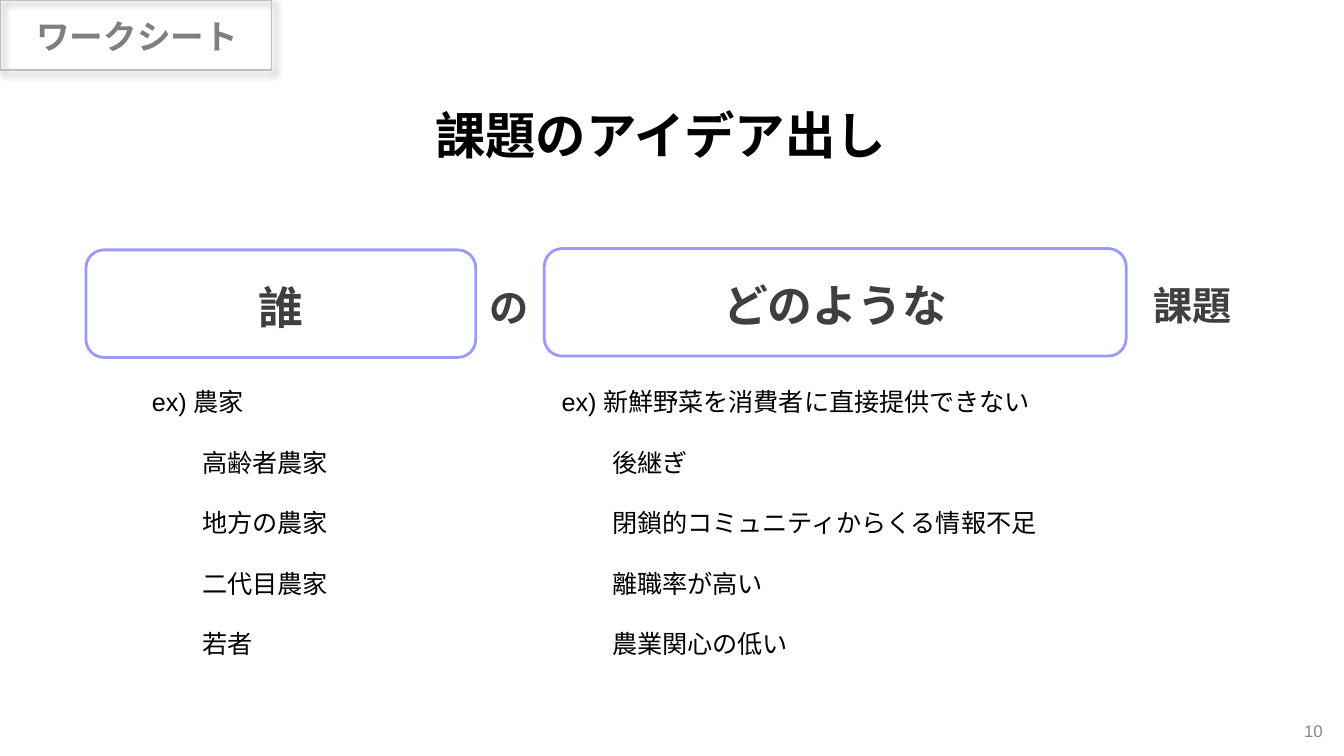
from lxml import etree
from pptx import Presentation
from pptx import util as u
from pptx.dml.color import RGBColor
from pptx.enum import shapes, text
from pptx.oxml import ns

COLORS = {
    "ink": "000000",
    "label": "3F3F3F",
    "tag": "7F7F7F",
    "number": "888888",
    "frame": "9999FF",
    "tag_line": "BFBFBF",
}
TIGHT = (0.07, 0.04, 0.07, 0)
LOOSE = (0.1, 0.05, 0.1, 0.05)
CENTER = text.PP_ALIGN.CENTER
LEFT = text.PP_ALIGN.LEFT
MIDDLE = text.MSO_ANCHOR.MIDDLE
GROW = text.MSO_AUTO_SIZE.SHAPE_TO_FIT_TEXT
FIXED = text.MSO_AUTO_SIZE.NONE

WHO = ["ex) 農家", "高齢者農家", "地方の農家", "二代目農家", "若者"]
WHAT = [
    "ex) 新鮮野菜を消費者に直接提供できない",
    "後継ぎ",
    "閉鎖的コミュニティからくる情報不足",
    "離職率が高い",
    "農業関心の低い",
]


def set_attrs(obj, values):
    for name, value in values.items():
        setattr(obj, name, value)


def inches(box):
    return [u.Inches(v) for v in box]


def set_frame(tf, insets, anchor=MIDDLE, fit=FIXED):
    left, top, right, bottom = inches(insets)
    set_attrs(tf, {
        "word_wrap": True, "auto_size": fit, "vertical_anchor": anchor,
        "margin_left": left, "margin_top": top,
        "margin_right": right, "margin_bottom": bottom,
    })


def write(p, words, size, color, bold=True, align=CENTER):
    p.alignment = align
    r = p.add_run()
    r.text = words
    set_attrs(r.font, {"name": "Arial", "size": u.Pt(size), "bold": bold})
    r.font.color.rgb = RGBColor.from_string(COLORS[color])


def add_outline(parent, kind, box, color, width):
    sp = parent.add_shape(kind, *inches(box))
    sp.shadow.inherit = False
    sp.fill.background()
    sp.line.color.rgb = RGBColor.from_string(COLORS[color])
    sp.line.width = u.Pt(width)
    return sp


def add_answer_box(s, box, words):
    sp = add_outline(s.shapes, shapes.MSO_SHAPE.ROUNDED_RECTANGLE, box, "frame", 1.5)
    set_frame(sp.text_frame, TIGHT)
    write(sp.text_frame.paragraphs[0], words, 24, "label")


def add_text(parent, box, words, size, color, insets=TIGHT, anchor=MIDDLE,
             fit=GROW, **style):
    tf = parent.add_textbox(*inches(box)).text_frame
    set_frame(tf, insets, anchor, fit)
    write(tf.paragraphs[0], words, size, color, **style)
    return tf


def add_examples(s, box, lines):
    style = {"size": 13.5, "color": "ink", "bold": False, "align": LEFT}
    tf = add_text(s.shapes, box, lines[0], **style)
    for line in lines[1:]:
        p = tf.add_paragraph()
        p.space_before = u.Pt(16.2)
        write(p, line, **style)
        p._p.get_or_add_pPr().set("marL", str(u.Pt(27)))


def add_shadow(sp):
    effects = sp._element.spPr.find(ns.qn("a:effectLst"))
    shadow = etree.SubElement(
        effects, ns.qn("a:outerShdw"), blurRad=str(u.Pt(4)), dist=str(u.Pt(3)),
        dir="2700000", algn="tl", rotWithShape="0")
    color = etree.SubElement(shadow, ns.qn("a:srgbClr"), val=COLORS["ink"])
    etree.SubElement(color, ns.qn("a:alpha"), val="40000")


def add_tag(s):
    group = s.shapes.add_group_shape().shapes
    add_shadow(add_outline(group, shapes.MSO_SHAPE.RECTANGLE,
                           (0, 0, 2.02, 0.52), "tag_line", 1))
    add_text(group, (0.07, 0.07, 1.9, 0.4), "ワークシート", 18, "tag",
             LOOSE, text.MSO_ANCHOR.TOP)


def set_title(s, box, words):
    title = s.shapes.title
    names = ("left", "top", "width", "height")
    set_attrs(title, dict(zip(names, inches(box))))
    set_frame(title.text_frame, (0, 0, 0, 0), text.MSO_ANCHOR.BOTTOM)
    p = title.text_frame.paragraphs[0]
    p.line_spacing = 0.9
    write(p, words, 27, "ink")


def main():
    prs = Presentation()
    width = u.Inches(10)
    set_attrs(prs, {"slide_width": width, "slide_height": width * 9 // 16})
    s = prs.slides.add_slide(prs.slide_layouts[5])
    set_title(s, (0.34, 0.71, 9.15, 0.52), "課題のアイデア出し")
    add_answer_box(s, (0.64, 1.86, 2.9, 0.8), "誰")
    add_answer_box(s, (4.05, 1.85, 4.33, 0.8), "どのような")
    add_text(s.shapes, (3.46, 2.07, 0.65, 0.39), "の", 21, "label")
    add_text(s.shapes, (8.38, 2.05, 0.99, 0.39), "課題", 21, "label")
    add_examples(s, (1.06, 2.83, 3.05, 2.08), WHO)
    add_examples(s, (4.11, 2.83, 4.33, 2.08), WHAT)
    add_tag(s)
    add_text(s.shapes, (7.69, 5.29, 2.25, 0.3), "10", 9, "number", LOOSE,
             fit=FIXED, bold=False, align=text.PP_ALIGN.RIGHT)
    prs.save("out.pptx")


if __name__ == "__main__":
    main()
